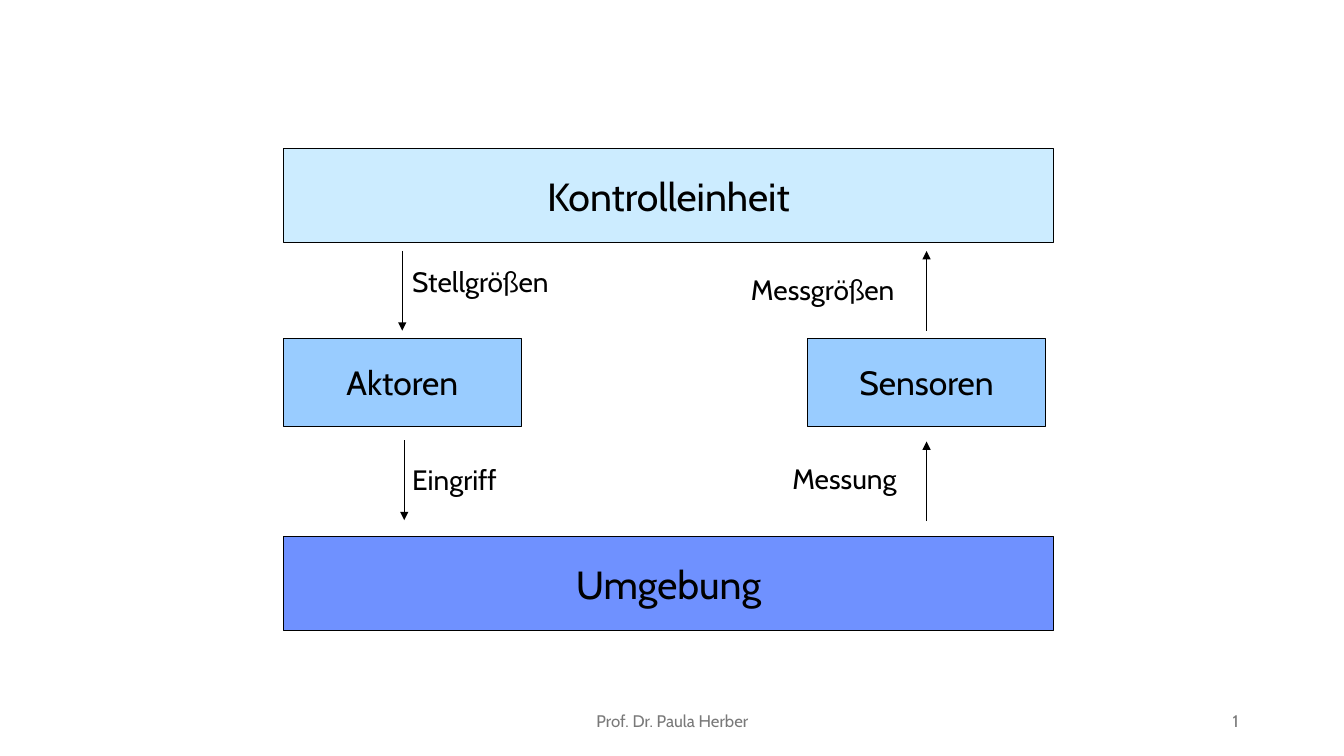
from dataclasses import dataclass

from lxml import etree
from pptx import Presentation
from pptx.dml.color import RGBColor
from pptx.enum import shapes, text
from pptx.oxml.ns import qn
from pptx.util import Inches, Pt


@dataclass(frozen=True)
class Theme:
    font: str = "Cabin"
    ink: str = "000000"
    muted: str = "797979"
    control: str = "CCECFF"
    device: str = "99CCFF"
    environment: str = "6F91FF"
    large: int = 28
    medium: int = 24
    label: int = 20
    small: int = 12
    line: float = 0.75


THEME = Theme()
LEFT, CENTER, RIGHT = text.PP_ALIGN.LEFT, text.PP_ALIGN.CENTER, text.PP_ALIGN.RIGHT
TOP, MIDDLE = text.MSO_ANCHOR.TOP, text.MSO_ANCHOR.MIDDLE


def write(sp, words, size, color, align, anchor, wrap):
    tf = sp.text_frame
    tf.word_wrap = wrap
    tf.vertical_anchor = anchor
    p = tf.paragraphs[0]
    p.text = words
    p.alignment = align
    p.font.name = THEME.font
    p.font.size = Pt(size)
    p.font.color.rgb = RGBColor.from_string(color)
    return tf


def add_block(s, box, words, fill, size):
    sp = s.shapes.add_shape(shapes.MSO_SHAPE.RECTANGLE, *map(Inches, box))
    sp.shadow.inherit = False
    sp.fill.solid()
    sp.fill.fore_color.rgb = RGBColor.from_string(fill)
    sp.line.color.rgb = RGBColor.from_string(THEME.ink)
    sp.line.width = Pt(THEME.line)
    write(sp, words, size, THEME.ink, CENTER, MIDDLE, False)


def add_text(s, box, words, size, color, align=LEFT, anchor=TOP, wrap=True):
    sp = s.shapes.add_textbox(*map(Inches, box))
    return write(sp, words, size, color, align, anchor, wrap)


def add_label(s, box, words):
    tf = add_text(s, box, words, THEME.label, THEME.ink, wrap=False)
    tf.auto_size = text.MSO_AUTO_SIZE.SHAPE_TO_FIT_TEXT


def add_arrow(s, x, start, end):
    """Draw a vertical arrow whose head is at end."""
    line = s.shapes.add_connector(
        shapes.MSO_CONNECTOR.STRAIGHT, *map(Inches, (x, start, x, end)))
    line.line.color.rgb = RGBColor.from_string(THEME.ink)
    line.line.width = Pt(THEME.line)
    etree.SubElement(line.line._get_or_add_ln(), qn("a:tailEnd"), type="triangle")
    etree.SubElement(line._element.spPr, qn("a:effectLst"))


def add_control_loop(s, box):
    x, y, w, h = box
    bar_h, device_w, device_h = 0.94, 2.36, 0.87
    device_y = y + 1.89
    sensor_x = x + 5.2
    add_block(s, (x, y, w, bar_h), "Kontrolleinheit", THEME.control, THEME.large)
    add_block(s, (x, y + h - bar_h, w, bar_h), "Umgebung",
              THEME.environment, THEME.large)
    for device_x, words in ((x, "Aktoren"), (sensor_x, "Sensoren")):
        add_block(s, (device_x, device_y, device_w, device_h), words,
                  THEME.device, THEME.medium)

    actor_mid, sensor_mid = x + device_w / 2, sensor_x + device_w / 2
    upper, lower, length = y + 1.02, y + 2.9, 0.79
    add_arrow(s, actor_mid, upper, upper + length)
    add_arrow(s, actor_mid + 0.02, lower, lower + length)
    add_arrow(s, sensor_mid, lower + 0.01 + length, lower + 0.01)
    add_arrow(s, sensor_mid, upper + length, upper)

    for label_x, label_y, label_w, words in (
            (actor_mid, upper + 0.08, 1.62, "Stellgrößen"),
            (actor_mid, lower + 0.17, 1.07, "Eingriff"),
            (sensor_mid - 1.84, upper + 0.16, 1.76, "Messgrößen"),
            (sensor_mid - 1.43, lower + 0.16, 1.33, "Messung")):
        add_label(s, (label_x, label_y, label_w, 0.43), words)


def add_footer(s, box):
    x, y, w, h = box
    number_w = 3
    for part, words, align in (
            ((x, y, 4.5, h), "Prof. Dr. Paula Herber", CENTER),
            ((x + w - number_w, y, number_w, h), "1 ", RIGHT)):
        add_text(s, part, words, THEME.small, THEME.muted, align, MIDDLE)


def main():
    prs = Presentation()
    prs.slide_width, prs.slide_height = Inches(13.33), Inches(7.5)
    s = prs.slides.add_slide(prs.slide_layouts[6])
    add_control_loop(s, (2.81, 1.47, 7.64, 4.79))
    add_footer(s, (4.42, 6.95, 8, 0.4))
    prs.save("out.pptx")


if __name__ == "__main__":
    main()
